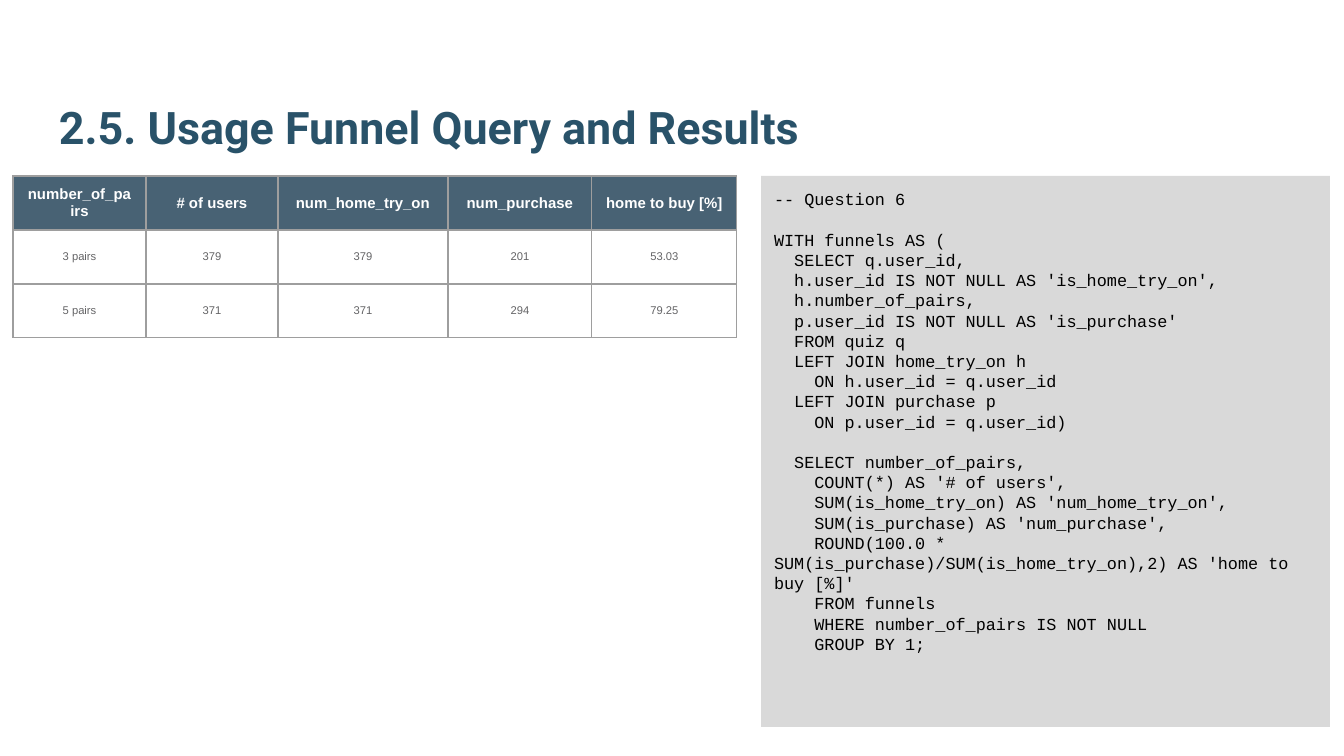
from lxml import etree
from pptx import Presentation
from pptx.dml.color import RGBColor
from pptx.enum.shapes import MSO_SHAPE
from pptx.enum.text import MSO_ANCHOR, PP_ALIGN
from pptx.oxml.ns import qn
from pptx.util import Pt

TITLE = "2.5. Usage Funnel Query and Results"
ROWS = [
    ("number_of_pairs", "# of users", "num_home_try_on", "num_purchase", "home to buy [%]"),
    ("3 pairs", "379", "379", "201", "53.03"),
    ("5 pairs", "371", "371", "294", "79.25"),
]
QUERY_BLOCKS = [
    ["-- Question 6"],
    [
        "WITH funnels AS (",
        "  SELECT q.user_id,",
        "  h.user_id IS NOT NULL AS 'is_home_try_on',",
        "  h.number_of_pairs,",
        "  p.user_id IS NOT NULL AS 'is_purchase'",
        "  FROM quiz q",
        "  LEFT JOIN home_try_on h",
        "    ON h.user_id = q.user_id",
        "  LEFT JOIN purchase p",
        "    ON p.user_id = q.user_id)",
    ],
    [
        "  SELECT number_of_pairs,",
        "    COUNT(*) AS '# of users',",
        "    SUM(is_home_try_on) AS 'num_home_try_on',",
        "    SUM(is_purchase) AS 'num_purchase',",
        "    ROUND(100.0 * SUM(is_purchase)/SUM(is_home_try_on),2) AS 'home to buy [%]'",
        "    FROM funnels",
        "    WHERE number_of_pairs IS NOT NULL",
        "    GROUP BY 1;",
    ],
]

NAVY = RGBColor(0x20, 0x40, 0x56)
TITLE_BLUE = RGBColor(0x29, 0x52, 0x69)
PANEL_GRAY = RGBColor(0xD9, 0xD9, 0xD9)
TEXT_GRAY = RGBColor(0x64, 0x64, 0x66)
BORDER_GRAY = "9E9E9E"
WHITE = RGBColor(0xFF, 0xFF, 0xFF)
BLACK = RGBColor(0, 0, 0)

RECTANGLE = MSO_SHAPE.RECTANGLE
TOP, MIDDLE, BOTTOM = MSO_ANCHOR.TOP, MSO_ANCHOR.MIDDLE, MSO_ANCHOR.BOTTOM
LEFT, CENTER = PP_ALIGN.LEFT, PP_ALIGN.CENTER

CONTENT_TOP = 176
COLUMN_WIDTHS = [133, 132, 170, 144, 145]
ROW_HEIGHT = 54
TITLE_ONLY = 5


def px(value):
    return round(value * 914400 / 134.4)


def style_font(font, name, size, color, bold=False):
    font.name, font.size, font.bold = name, Pt(size), bold
    font.color.rgb = color


def prepare_frame(text_frame, anchor):
    text_frame.word_wrap = True
    text_frame.vertical_anchor = anchor
    text_frame.margin_left = text_frame.margin_right = px(13)
    text_frame.margin_top = text_frame.margin_bottom = px(13)


def add_borders(cell):
    properties = cell._tc.get_or_add_tcPr()
    for position, side in enumerate(("lnL", "lnR", "lnT", "lnB")):
        line = etree.Element(qn(f"a:{side}"), w=str(Pt(0.75)))
        fill = etree.SubElement(line, qn("a:solidFill"))
        etree.SubElement(fill, qn("a:srgbClr"), val=BORDER_GRAY)
        properties.insert(position, line)


def fill_header(cell):
    cell.fill.solid()
    cell.fill.fore_color.rgb = NAVY
    color = cell._tc.tcPr.find(qn("a:solidFill")).find(qn("a:srgbClr"))
    etree.SubElement(color, qn("a:alpha"), val="82000")


def add_title(slide):
    title = slide.shapes.title
    title.left, title.top, title.width, title.height = px(46), px(43), px(1253), px(124)
    title.text_frame.text = TITLE
    prepare_frame(title.text_frame, BOTTOM)
    paragraph = title.text_frame.paragraphs[0]
    paragraph.alignment = LEFT
    style_font(paragraph.runs[0].font, "Roboto", 24, TITLE_BLUE, True)


def add_query(slide):
    panel = slide.shapes.add_shape(RECTANGLE, px(761), px(CONTENT_TOP), px(569), px(551))
    panel.shadow.inherit = False
    panel.fill.solid()
    panel.fill.fore_color.rgb = PANEL_GRAY
    panel.line.fill.background()
    text_frame = panel.text_frame
    prepare_frame(text_frame, TOP)
    text_frame.text = "\n".join(line for block in QUERY_BLOCKS for line in block)
    paragraphs = iter(text_frame.paragraphs)
    for block_index, block in enumerate(QUERY_BLOCKS):
        for line_index in range(len(block)):
            paragraph = next(paragraphs)
            paragraph.alignment = LEFT
            if block_index and line_index == 0:
                paragraph.space_before = Pt(10.8)
            style_font(paragraph.runs[0].font, "Courier New", 9, BLACK)


def add_results(slide):
    table = slide.shapes.add_table(
        len(ROWS), len(COLUMN_WIDTHS), px(13), px(CONTENT_TOP),
        px(sum(COLUMN_WIDTHS)), px(ROW_HEIGHT * len(ROWS)),
    ).table
    for column, width in zip(table.columns, COLUMN_WIDTHS):
        column.width = px(width)
    for row_index, values in enumerate(ROWS):
        table.rows[row_index].height = px(ROW_HEIGHT)
        for column_index, value in enumerate(values):
            cell = table.cell(row_index, column_index)
            cell.text_frame.text = value
            cell.vertical_anchor = MIDDLE
            paragraph = cell.text_frame.paragraphs[0]
            paragraph.alignment = CENTER
            font = paragraph.runs[0].font
            if row_index == 0:
                fill_header(cell)
                style_font(font, "Arial", 8, WHITE, True)
            else:
                cell.fill.background()
                style_font(font, "Arial", 6, TEXT_GRAY)
            add_borders(cell)


def main():
    presentation = Presentation()
    presentation.slide_width, presentation.slide_height = px(1344), px(756)
    slide = presentation.slides.add_slide(presentation.slide_layouts[TITLE_ONLY])
    add_title(slide)
    add_query(slide)
    add_results(slide)
    presentation.save("out.pptx")


if __name__ == "__main__":
    main()
